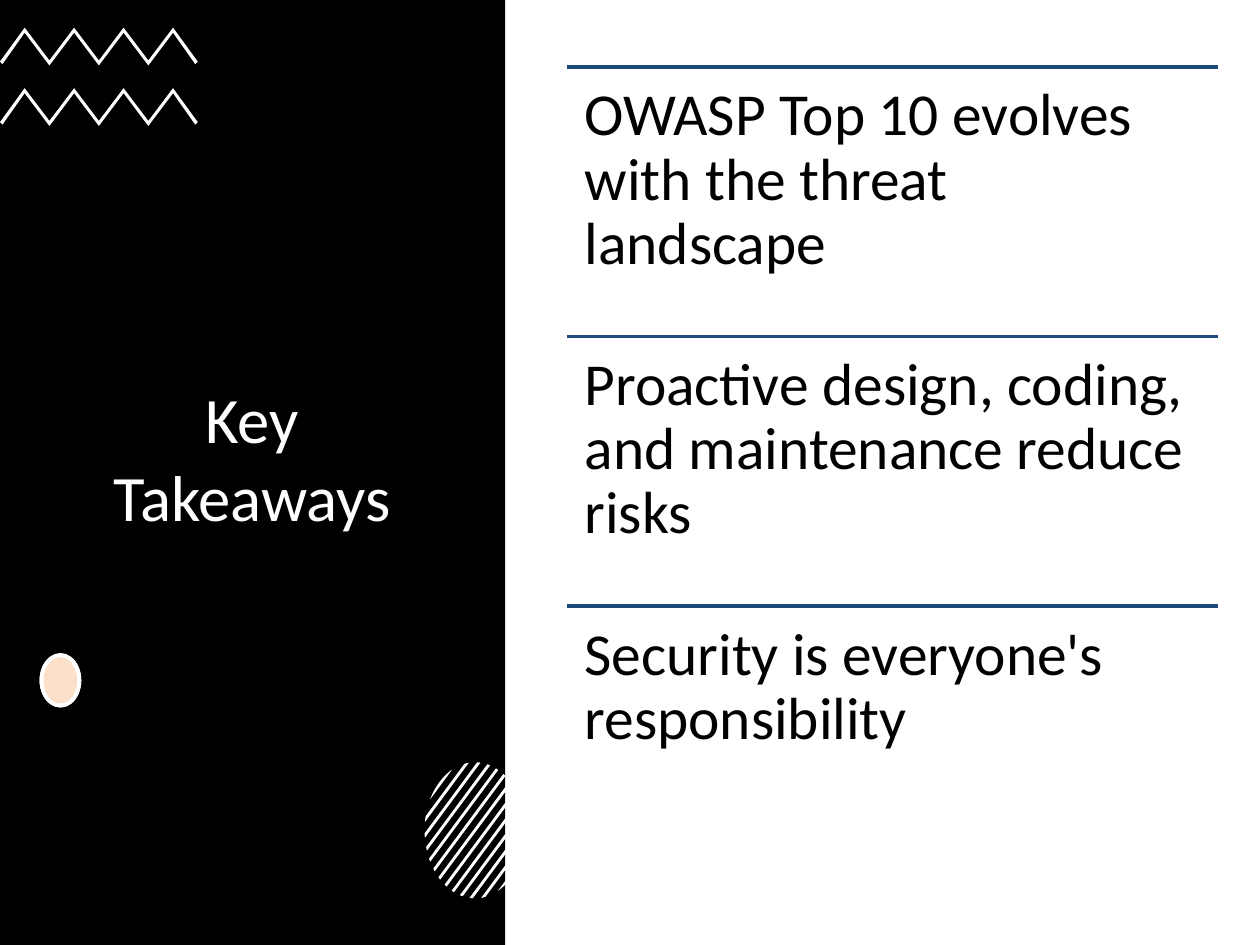
import math

import pptx
import pptx.dml.color
import pptx.enum.shapes
import pptx.enum.text
import pptx.oxml
import pptx.oxml.ns
import pptx.util
from pptx.util import Inches

TAKEAWAYS = [
    "OWASP Top 10 evolves with the threat landscape",
    "Proactive design, coding, and maintenance reduce risks",
    "Security is everyone's responsibility",
]
WHITE = "FFFFFF"
BLACK = "000000"


def rgb(color):
    return pptx.dml.color.RGBColor.from_string(color)


def style_shape(shape, fill, line=None, line_width=2.25):
    shape.shadow.inherit = False
    shape.fill.solid()
    shape.fill.fore_color.rgb = rgb(fill)
    if line:
        shape.line.color.rgb = rgb(line)
        shape.line.width = pptx.util.Pt(line_width)
    else:
        shape.line.fill.background()


def add_preset(slide, kind, left, top, width, height, fill, line=None):
    shape = slide.shapes.add_shape(
        kind, Inches(left), Inches(top), Inches(width), Inches(height))
    style_shape(shape, fill, line)
    return shape


def set_opacity(shape, percent):
    color = shape.fill._xPr.find(".//" + pptx.oxml.ns.qn("a:srgbClr"))
    alpha = pptx.oxml.parse_xml(
        f'<a:alpha {pptx.oxml.ns.nsdecls("a")} val="{percent * 1000}"/>')
    color.append(alpha)


def add_outline(slide, points, fill):
    """Add a closed, filled outline through points given in inches."""
    corners = [(Inches(x), Inches(y)) for x, y in points]
    builder = slide.shapes.build_freeform(*corners[0])
    builder.add_line_segments(corners[1:], close=True)
    style_shape(builder.convert_to_shape(), fill)


def add_zigzag(slide, top):
    width, drop, thickness, steps = 1.57, 0.26, 0.04, 8
    upper = [(width * i / steps, top + (0 if i % 2 else drop))
             for i in range(steps + 1)]
    lower = [(x, y + thickness) for x, y in upper]
    left_end, right_end = top + drop + 0.01, top + drop + 0.03
    upper[0], upper[-1] = (0, left_end), (width, left_end)
    lower[0], lower[-1] = (0.02, right_end), (width - 0.02, right_end)
    add_outline(slide, upper + lower[::-1], WHITE)


def add_striped_oval(slide, center_x, center_y, radius_x, radius_y):
    """Add diagonal bands, each cut off by the edge of one oval."""
    stripes, pitch, half_width, arc_steps = 13, 0.23, 0.035, 6

    def edge_point(offset, side):
        swing = math.acos(max(-1, min(1, offset / math.sqrt(2))))
        angle = math.pi / 4 + side * swing
        return (center_x + radius_x * math.cos(angle),
                center_y + radius_y * math.sin(angle))

    for index in range(stripes):
        middle = pitch * (index - stripes // 2)
        offsets = [middle + half_width * (2 * step / arc_steps - 1)
                   for step in range(arc_steps + 1)]
        right = [edge_point(offset, -1) for offset in offsets]
        left = [edge_point(offset, 1) for offset in reversed(offsets)]
        add_outline(slide, right + left, WHITE)


def add_text(slide, text, left, top, width, height, size, color, margins,
             anchor=pptx.enum.text.MSO_ANCHOR.TOP,
             alignment=pptx.enum.text.PP_ALIGN.LEFT, line_spacing=1.0):
    box = slide.shapes.add_textbox(
        Inches(left), Inches(top), Inches(width), Inches(height))
    frame = box.text_frame
    frame.word_wrap = True
    frame.vertical_anchor = anchor
    frame.margin_left = frame.margin_right = Inches(margins[0])
    frame.margin_top = frame.margin_bottom = Inches(margins[1])
    paragraph = frame.paragraphs[0]
    paragraph.alignment = alignment
    paragraph.line_spacing = line_spacing
    run = paragraph.add_run()
    run.text = text
    run.font.name = "Calibri"
    run.font.size = pptx.util.Pt(size)
    run.font.color.rgb = rgb(color)


def add_rule(slide, left, top, width):
    rule = slide.shapes.add_connector(
        pptx.enum.shapes.MSO_CONNECTOR.STRAIGHT,
        Inches(left), Inches(top), Inches(left + width), Inches(top))
    rule.line.color.rgb = rgb("1D497D")
    rule.line.width = pptx.util.Pt(2)
    rule._element.spPr.append(pptx.oxml.parse_xml(
        f'<a:effectLst {pptx.oxml.ns.nsdecls("a")}/>'))


def add_side_panel(slide):
    shapes = pptx.enum.shapes.MSO_SHAPE
    add_preset(slide, shapes.RECTANGLE, 0, 0, 4.01, 7.5, BLACK)
    add_text(slide, "Key Takeaways", 0.69, 1.31, 2.62, 4.63, 37, WHITE,
             (0.1, 0.05), pptx.enum.text.MSO_ANCHOR.MIDDLE,
             pptx.enum.text.PP_ALIGN.CENTER)
    for top in (0.22, 0.7):
        add_zigzag(slide, top)
    for fill in (WHITE, "F79646"):
        dot = add_preset(slide, shapes.OVAL, 0.33, 5.2, 0.3, 0.4, fill, WHITE)
    set_opacity(dot, 29)
    add_striped_oval(slide, 3.77, 6.59, 0.4, 0.54)


def add_takeaways(slide):
    left, first_top, width, height = 4.5, 0.53, 5.17, 2.14
    for index, takeaway in enumerate(TAKEAWAYS):
        top = first_top + index * height
        add_rule(slide, left, top, width)
        add_text(slide, takeaway, left, top, width, height, 34, BLACK,
                 (0.14, 0.14), line_spacing=0.9)


def main():
    presentation = pptx.Presentation()
    presentation.slide_width = Inches(10)
    presentation.slide_height = Inches(7.5)
    slide = presentation.slides.add_slide(presentation.slide_layouts[6])
    add_side_panel(slide)
    add_takeaways(slide)
    presentation.save("out.pptx")


if __name__ == "__main__":
    main()
